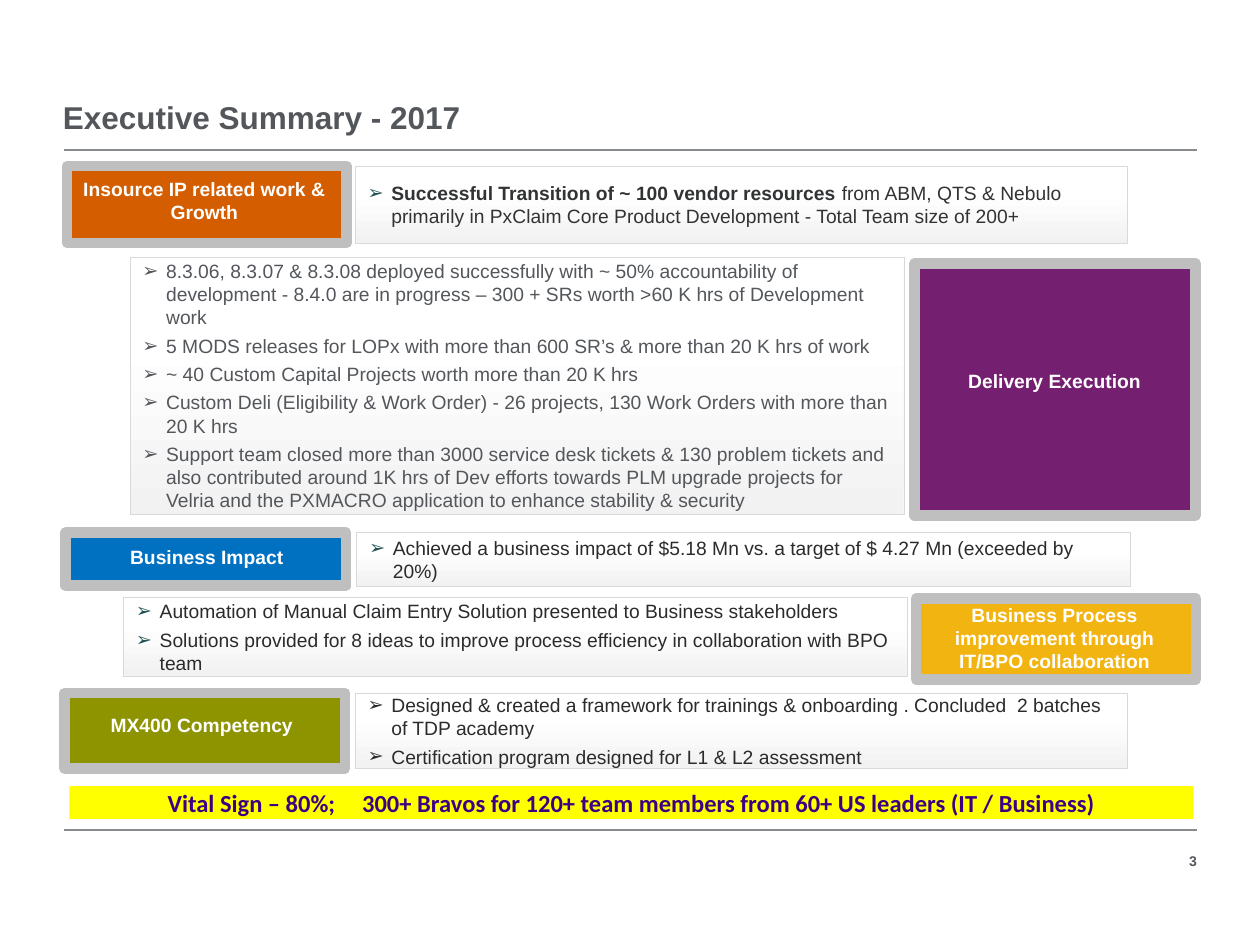
from lxml import etree
from pptx import Presentation
from pptx.dml.color import RGBColor
from pptx.enum.shapes import MSO_CONNECTOR, MSO_SHAPE
from pptx.enum.text import MSO_ANCHOR, PP_ALIGN
from pptx.oxml.ns import qn
from pptx.util import Cm, Pt

GREY, DARK, TEAL, WHITE = "53565A", "2A2B2D", "215352", "FFFFFF"


def rgb(value):
    return RGBColor.from_string(value)


class SlideBuilder:
    font, size = "Arial", 11
    frame, panel_line, rule_line = "BFBFBF", "D9D9D9", "888B8D"
    gradient = ((0, "F2F2F2"), (0.67, "FFFFFF"))
    indent = Cm(0.48)

    def __init__(self, slide):
        self.s = slide

    def add_text(self, p, text, color, **formats):
        r = p.add_run()
        r.text = text
        values = {"name": self.font, "size": Pt(self.size), "bold": False} | formats
        for name, value in values.items():
            setattr(r.font, name, value)
        r.font.color.rgb = rgb(color)

    def setup(self, tf, inset=None, **formats):
        values = {"word_wrap": True} | formats
        if inset is not None:
            for side in ("left", "top", "right", "bottom"):
                values[f"margin_{side}"] = Cm(inset)
        for name, value in values.items():
            setattr(tf, name, value)

    def text(self, box, text, color, align=PP_ALIGN.LEFT, anchor=MSO_ANCHOR.TOP,
             inset=None, spacing=None, **formats):
        tf = self.s.shapes.add_textbox(*map(Cm, box)).text_frame
        self.setup(tf, inset, vertical_anchor=anchor)
        p = tf.paragraphs[0]
        p.alignment, p.line_spacing = align, spacing
        self.add_text(p, text, color, bold=True, **formats)

    def rule(self, y):
        line = self.s.shapes.add_connector(
            MSO_CONNECTOR.STRAIGHT, Cm(1.3), Cm(y), Cm(24.13), Cm(y))
        line.line.color.rgb = rgb(self.rule_line)
        line.line.width = Pt(1)
        etree.SubElement(line._element.spPr, qn("a:effectLst"))

    def rect(self, box, fill=None, line=None, width=0):
        sp = self.s.shapes.add_shape(MSO_SHAPE.RECTANGLE, *map(Cm, box))
        sp.shadow.inherit = False
        if fill:
            sp.fill.solid()
            sp.fill.fore_color.rgb = rgb(fill)
        if line:
            sp.line.color.rgb = rgb(line)
            sp.line.width = Pt(width)
        else:
            sp.line.fill.background()
        return sp

    def heading(self, box, fill, label_box, label):
        self.rect(box, fill, self.frame, 6)
        self.text(label_box, label, WHITE, PP_ALIGN.CENTER)

    def bullet(self, p, color):
        pPr = p._p.get_or_add_pPr()
        pPr.set("marL", str(self.indent))
        pPr.set("indent", str(-self.indent))
        clr = etree.SubElement(pPr, qn("a:buClr"))
        etree.SubElement(clr, qn("a:srgbClr"), val=color)
        etree.SubElement(pPr, qn("a:buFont"), typeface=self.font)
        etree.SubElement(pPr, qn("a:buChar"), char="➢")

    def panel(self, box, items, color=DARK, bullet_color=TEAL):
        """Each item is a list of (text, bold) runs."""
        sp = self.rect(box, line=self.panel_line, width=0.25)
        sp.fill.gradient()
        sp.fill.gradient_angle = 90
        for stop, (position, value) in zip(sp.fill.gradient_stops, self.gradient):
            stop.position = position
            stop.color.rgb = rgb(value)
        tf = sp.text_frame
        self.setup(tf, vertical_anchor=MSO_ANCHOR.MIDDLE)
        for i, runs in enumerate(items):
            p = tf.add_paragraph() if i else tf.paragraphs[0]
            self.bullet(p, bullet_color)
            p.alignment = PP_ALIGN.LEFT
            if i:
                p.space_before = Pt(3)
            for text, bold in runs:
                self.add_text(p, text, color, bold=bold)

    def banner(self, box, text, fill, color):
        tf = self.rect(box, fill).text_frame
        self.setup(tf, 0.13, vertical_anchor=MSO_ANCHOR.MIDDLE)
        p = tf.paragraphs[0]
        p.alignment = PP_ALIGN.CENTER
        self.add_text(p, text, color, name="Calibri", size=Pt(14), bold=True)


def plain(*texts):
    return [[(text, False)] for text in texts]


def main():
    prs = Presentation()
    prs.slide_width, prs.slide_height = Cm(25.4), Cm(19.05)
    b = SlideBuilder(prs.slides.add_slide(prs.slide_layouts[6]))

    # Title, rules and page number
    b.text((1.27, 1.47, 22.91, 1.27), "Executive Summary - 2017", GREY,
           anchor=MSO_ANCHOR.BOTTOM, inset=0, spacing=0.9, size=Pt(18))
    for y in (3.02, 16.74):
        b.rule(y)
    b.text((22.86, 17.07, 1.27, 0.58), "3", GREY, PP_ALIGN.RIGHT,
           MSO_ANCHOR.MIDDLE, inset=0, size=Pt(8))

    # Insourcing
    b.heading((1.35, 3.35, 5.64, 1.55), "D45D00", (1.4, 3.45, 5.44, 1.19),
              "Insource IP related work & Growth")
    b.panel((7.16, 3.35, 15.57, 1.55), [[
        ("Successful Transition of ~ 100 vendor resources ", True),
        ("from ABM, QTS & Nebulo primarily in PxClaim Core Product Development"
         " - Total Team size of 200+", False)]], "323335")

    # Delivery
    b.heading((18.44, 5.31, 5.66, 5.08), "751F71", (18.54, 7.32, 5.44, 0.74),
              "Delivery Execution")
    b.panel((2.62, 5.18, 15.6, 5.18), plain(
        "8.3.06, 8.3.07 & 8.3.08 deployed successfully with ~ 50% accountability of"
        " development - 8.4.0 are in progress – 300 + SRs worth >60 K hrs of"
        " Development work",
        "5 MODS releases for LOPx with more than 600 SR’s & more than 20 K hrs of work",
        "~ 40 Custom Capital Projects worth more than 20 K hrs",
        "Custom Deli (Eligibility & Work Order) - 26 projects, 130 Work Orders with"
        " more than 20 K hrs",
        "Support team closed more than 3000 service desk tickets & 130 problem tickets"
        " and also contributed around 1K hrs of Dev efforts towards PLM upgrade"
        " projects for Velria and the PXMACRO application to enhance stability"
        " & security"), GREY, GREY)

    # Business impact
    b.heading((1.32, 10.74, 5.66, 1.07), "0070C0", (1.45, 10.87, 5.44, 0.74),
              "Business Impact")
    b.panel((7.19, 10.74, 15.6, 1.07), plain(
        "Achieved a business impact of $5.18 Mn vs. a target of $ 4.27 Mn"
        " (exceeded by 20%)"))

    # Process improvement
    b.heading((18.47, 12.07, 5.64, 1.63), "F2B411", (18.54, 12.04, 5.44, 1.68),
              "Business Process improvement through IT/BPO collaboration")
    b.panel((2.49, 12.04, 15.8, 1.6), plain(
        "Automation of Manual Claim Entry Solution presented to Business stakeholders",
        "Solutions provided for 8 ideas to improve process efficiency in"
        " collaboration with BPO team"))

    # Competency
    b.heading((1.3, 13.97, 5.66, 1.52), "8E9300", (1.35, 14.25, 5.44, 0.74),
              "MX400 Competency")
    b.panel((7.16, 13.97, 15.57, 1.52), plain(
        "Designed & created a framework for trainings & onboarding . Concluded "
        " 2 batches of TDP academy",
        "Certification program designed for L1 & L2 assessment"), bullet_color=DARK)

    # Closing banner
    b.banner((1.4, 15.85, 22.66, 0.66),
             "Vital Sign – 80%;\t 300+ Bravos for 120+ team members from 60+ US"
             " leaders (IT / Business)", "FFFF00", "3B0083")

    prs.save("out.pptx")


if __name__ == "__main__":
    main()
